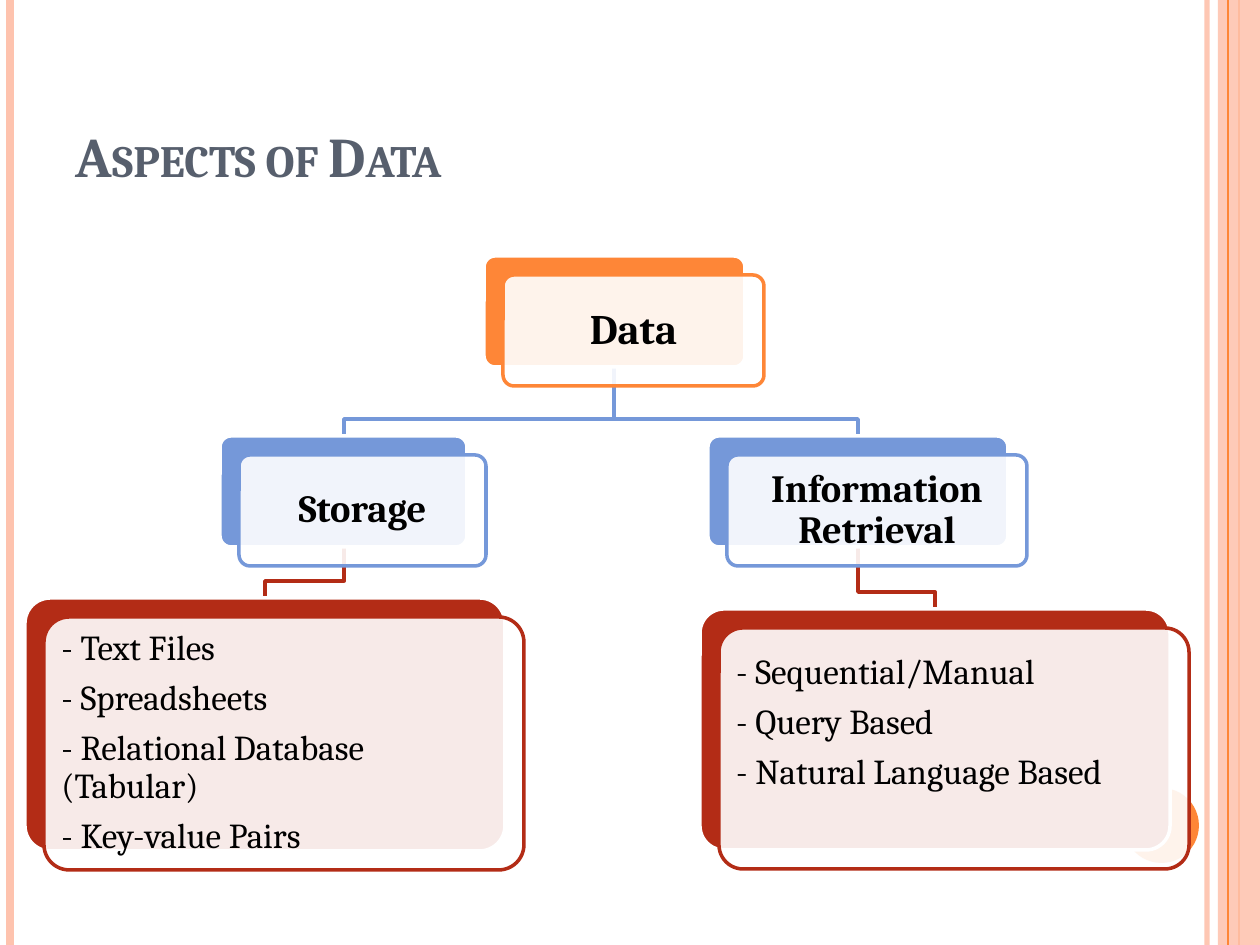
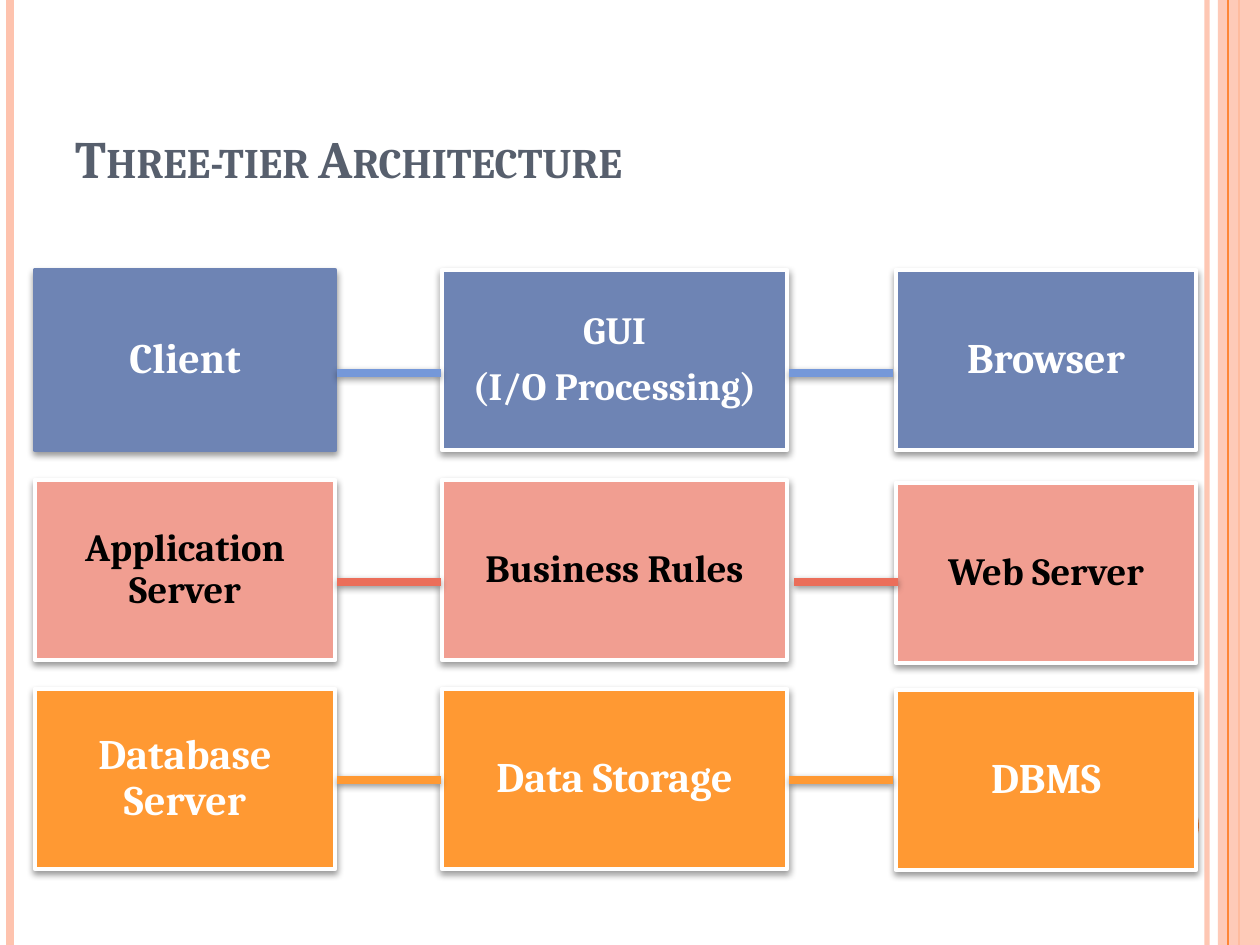
import lxml.etree
import pptx
import pptx.dml.color
import pptx.enum.shapes
import pptx.enum.text
import pptx.oxml.ns
import pptx.util

SCALE = 914400 / 126
PAGE_WIDTH, PAGE_HEIGHT = 1260, 945
FONT = "Cambria"
WHITE, BLACK, SLATE = "FFFFFF", "000000", "575F6D"
PEACH, ORANGE, AMBER = "FEC3AE", "FE8637", "FF9933"
BLUE, INDIGO, RED = "7598D9", "6E84B4", "B32C16"
SALMON, CORAL = "F19E91", "EB6E5A"
SHAPES = pptx.enum.shapes.MSO_SHAPE
ALIGN = pptx.enum.text.PP_ALIGN
ANCHOR = pptx.enum.text.MSO_ANCHOR
CARD_OFFSET = 19
TIER_HEIGHT = 180


def px(length):
    return pptx.util.Emu(round(length * SCALE))


def color(value):
    return pptx.dml.color.RGBColor.from_string(value)


def add_xml(parent, tag, **attributes):
    return lxml.etree.SubElement(parent, pptx.oxml.ns.qn(tag), attributes)


def set_opacity(properties, percent):
    first_color = properties.find(".//" + pptx.oxml.ns.qn("a:srgbClr"))
    add_xml(first_color, "a:alpha", val=str(percent * 1000))


def add_shadow(effects, distance, percent):
    shadow = add_xml(effects, "a:outerShdw", blurRad=str(pptx.util.Pt(4)),
                     dist=str(pptx.util.Pt(distance)), dir="5400000",
                     rotWithShape="0")
    shade = add_xml(shadow, "a:srgbClr", val=BLACK)
    add_xml(shade, "a:alpha", val=str(percent * 1000))


def set_line(item, line_color, width):
    item.line.color.rgb = color(line_color)
    item.line.width = pptx.util.Pt(width)


def add_box(page, kind, place, fill, outline=None, width=2, opacity=100):
    box = page.shapes.add_shape(kind, *map(px, place))
    box.fill.solid()
    box.fill.fore_color.rgb = color(fill)
    if opacity < 100:
        set_opacity(box._element.spPr, opacity)
    if outline:
        set_line(box, outline, width)
    else:
        box.line.fill.background()
    box.shadow.inherit = False
    return box


def add_line(page, start, end, line_color, width, opacity=100):
    line = page.shapes.add_connector(
        pptx.enum.shapes.MSO_CONNECTOR.STRAIGHT, *map(px, start + end))
    set_line(line, line_color, width)
    properties = line._element.spPr
    if opacity < 100:
        set_opacity(properties, opacity)
    return add_xml(properties, "a:effectLst")


def set_font(para, size, text_color, bold):
    font = para.font
    font.name = FONT
    font.size = pptx.util.Pt(size)
    font.bold = bold
    font.color.rgb = color(text_color)


def set_text(box, lines, size, text_color=BLACK, bold=True,
             align=ALIGN.CENTER, inset=12, bottom=None):
    frame = box.text_frame
    frame.word_wrap = True
    frame.vertical_anchor = ANCHOR.MIDDLE
    frame.margin_left = frame.margin_right = frame.margin_top = px(inset)
    frame.margin_bottom = px(bottom or inset)
    frame.text = "\n".join(lines)
    for para in frame.paragraphs:
        para.alignment = align
        para.line_spacing = 0.9
        para.space_after = pptx.util.Pt(round(size * 0.35, 1))
        set_font(para, size, text_color, bold)


def add_side_line(page, x, line_color, width, opacity=100):
    add_line(page, (x, 0), (x, PAGE_HEIGHT), line_color, width, opacity)


def add_page(deck, heading, size):
    page = deck.slides.add_slide(deck.slide_layouts.get_by_name("Title Only"))
    add_side_line(page, 1207, PEACH, 3, 93)
    add_side_line(page, 10, PEACH, 4.5)
    add_side_line(page, 1239, ORANGE, 1.5)
    add_box(page, SHAPES.RECTANGLE, (1218, 0, 42, PAGE_HEIGHT), PEACH, opacity=87)
    add_side_line(page, 1228, ORANGE, 0.75)
    add_box(page, SHAPES.OVAL, (1124, 788, 75, 75), ORANGE)

    title = page.shapes.title
    title.left, title.top, title.width, title.height = map(px, (63, 38, 1029, 157))
    frame = title.text_frame
    frame.text = heading
    frame.auto_size = pptx.enum.text.MSO_AUTO_SIZE.NONE
    frame.vertical_anchor = ANCHOR.BOTTOM
    para = frame.paragraphs[0]
    para.alignment = ALIGN.LEFT
    set_font(para, size, SLATE, True)
    para._p.pPr.find(pptx.oxml.ns.qn("a:defRPr")).set("cap", "small")
    return page


def add_branch(page, parent, child, line_color):
    start_x, start_y = parent[0] + parent[2] / 2, parent[1] + parent[3]
    end_x, end_y = child[0] + child[2] / 2, child[1]
    bend_y = end_y - 17
    builder = page.shapes.build_freeform(round(start_x), start_y, SCALE)
    builder.add_line_segments(
        [(round(start_x), bend_y), (round(end_x), bend_y), (round(end_x), end_y)],
        close=False)
    branch = builder.convert_to_shape()
    branch.fill.background()
    set_line(branch, line_color, 2)
    branch.shadow.inherit = False


def add_card(page, place, accent, lines, size, **text_options):
    left, top, width, height = place
    back = add_box(page, SHAPES.ROUNDED_RECTANGLE, place, accent, WHITE)
    front = add_box(page, SHAPES.ROUNDED_RECTANGLE,
                    (left + CARD_OFFSET, top + CARD_OFFSET, width, height),
                    WHITE, accent, opacity=90)
    for box in (back, front):
        box.adjustments[0] = 0.1
    set_text(front, lines, size, **text_options)


def add_aspects_page(deck):
    page = add_page(deck, "Aspects of Data", 32)
    data = (484, 256, 261, 111)
    storage = (220, 436, 247, 111)
    retrieval = (708, 436, 300, 111)
    storage_list = (25, 598, 480, 253)
    retrieval_list = (700, 609, 470, 241)

    add_branch(page, retrieval, retrieval_list, RED)
    add_branch(page, data, retrieval, BLUE)
    add_branch(page, storage, storage_list, RED)
    add_branch(page, data, storage, BLUE)

    list_style = {"bold": False, "align": ALIGN.LEFT, "inset": 10}
    add_card(page, data, ORANGE, ["Data"], 24)
    add_card(page, storage, BLUE, ["Storage"], 22, inset=11)
    add_card(page, storage_list, RED,
             ["- Text Files", "- Spreadsheets",
              "- Relational Database (Tabular)", "- Key-value Pairs"],
             20, **list_style)
    add_card(page, retrieval, BLUE, ["Information Retrieval"], 22, inset=11)
    add_card(page, retrieval_list, RED,
             ["- Sequential/Manual", "- Query Based", "- Natural Language Based"],
             20, bottom=60, **list_style)


def add_tier_box(page, place, fill, outline, lines, size, text_color):
    box = add_box(page, SHAPES.RECTANGLE, place, fill, outline, 2.75)
    add_shadow(box._element.spPr.find(pptx.oxml.ns.qn("a:effectLst")), 2, 40)
    set_text(box, lines, size, text_color)


def add_architecture_page(deck):
    page = add_page(deck, "Three-tier Architecture", 30)
    columns = [(35, 300), (442, 345), (896, 300)]
    tiers = [
        (INDIGO, BLUE, WHITE, 373, 789, (270, 270, 270),
         [(["Client"], 24), (["GUI", "(I/O Processing)"], 22), (["Browser"], 24)]),
        (SALMON, CORAL, BLACK, 582, 794, (480, 480, 483),
         [(["Application Server"], 22), (["Business Rules"], 22),
          (["Web Server"], 22)]),
        (AMBER, AMBER, WHITE, 780, 789, (689, 689, 690),
         [(["Database Server"], 24), (["Data Storage"], 24), (["DBMS"], 24)]),
    ]
    for fill, link_color, text_color, link_y, second_link, tops, labels in tiers:
        for (left, width), top, (lines, size) in zip(columns, tops, labels):
            outline = INDIGO if lines == ["Client"] else WHITE
            add_tier_box(page, (left, top, width, TIER_HEIGHT), fill, outline,
                         lines, size, text_color)
        for link_x in (337, second_link):
            effects = add_line(page, (link_x, link_y), (link_x + 104, link_y),
                               link_color, 4.5)
            add_shadow(effects, 1.6, 42)


def main():
    deck = pptx.Presentation()
    deck.slide_width, deck.slide_height = px(PAGE_WIDTH), px(PAGE_HEIGHT)
    add_aspects_page(deck)
    add_architecture_page(deck)
    deck.save("out.pptx")


if __name__ == "__main__":
    main()
